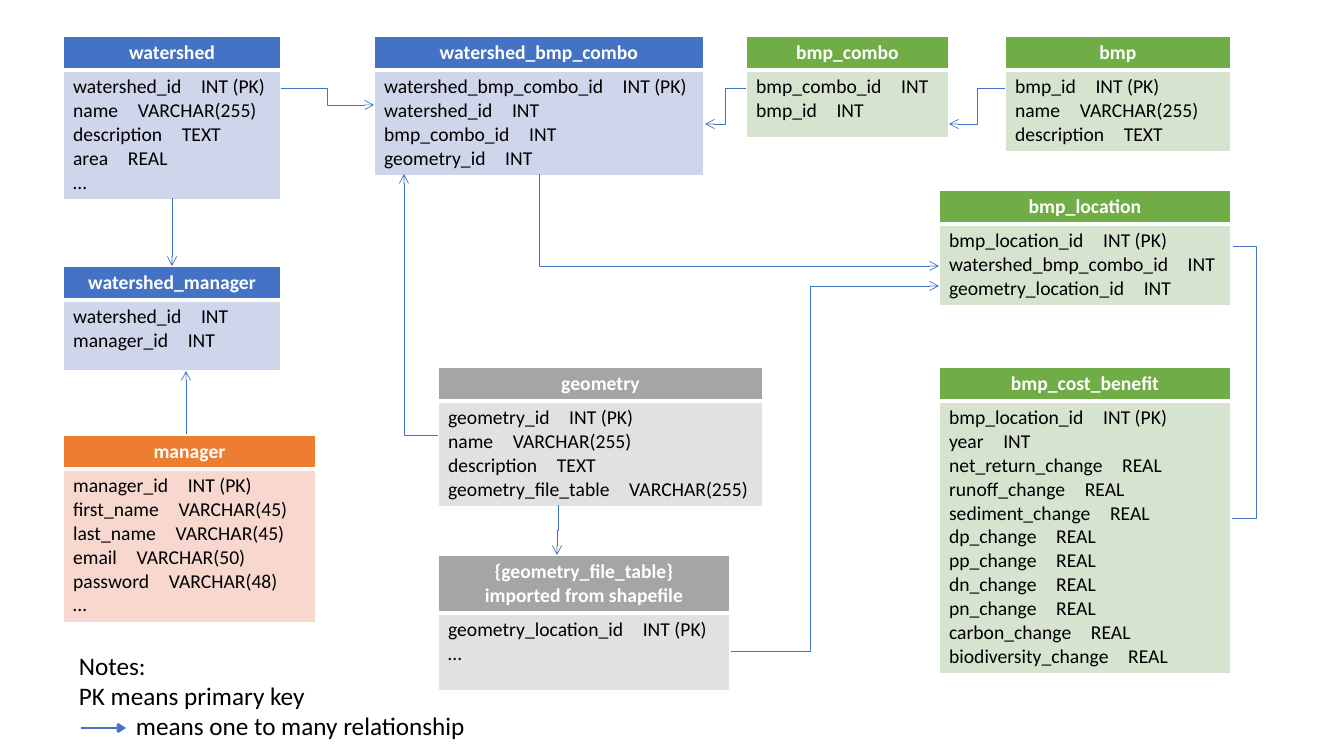
"""Build a one-slide database schema of watershed and BMP tables."""
from lxml.etree import SubElement
from pptx import Presentation
from pptx.dml.color import RGBColor
from pptx.enum.shapes import MSO_CONNECTOR
from pptx.enum.text import PP_ALIGN
from pptx.oxml.ns import qn
from pptx.util import Emu, Pt

PX = 914400 / 100.8
FONT = "Calibri"
WHITE = RGBColor(0xFF, 0xFF, 0xFF)
BLACK = RGBColor(0, 0, 0)
BLUE = RGBColor(0x44, 0x72, 0xC4)
GREEN = RGBColor(0x70, 0xAD, 0x47)
GRAY = RGBColor(0xA5, 0xA5, 0xA5)
ORANGE = RGBColor(0xED, 0x7D, 0x31)
TINTS = {
    BLUE: RGBColor(0xCF, 0xD5, 0xEA),
    GREEN: RGBColor(0xD5, 0xE3, 0xCF),
    GRAY: RGBColor(0xE1, 0xE1, 0xE1),
    ORANGE: RGBColor(0xF8, 0xD7, 0xCE),
}
HEADER_PAD, LINE_H = 10, 24
GAP = "\u2003"

ENTITIES = [
    ("watershed", BLUE, (63, 36, 218, 161),
     ["watershed_id:INT (PK)", "name:VARCHAR(255)", "description:TEXT", "area:REAL", "…"]),
    ("watershed_bmp_combo", BLUE, (374, 36, 330, 138),
     ["watershed_bmp_combo_id:INT (PK)", "watershed_id:INT", "bmp_combo_id:INT",
      "geometry_id:INT"]),
    ("bmp_combo", GREEN, (746, 36, 203, 102), ["bmp_combo_id:INT", "bmp_id:INT"]),
    ("bmp", GREEN, (1005, 36, 226, 114),
     ["bmp_id:INT (PK)", "name:VARCHAR(255)", "description:TEXT"]),
    ("geometry", GRAY, (438, 367, 325, 138),
     ["geometry_id:INT (PK)", "name:VARCHAR(255)", "description:TEXT",
      "geometry_file_table:VARCHAR(255)"]),
    ("bmp_location", GREEN, (939, 190, 292, 114),
     ["bmp_location_id:INT (PK)", "watershed_bmp_combo_id:INT", "geometry_location_id:INT"]),
    ("bmp_cost_benefit", GREEN, (939, 367, 292, 302),
     ["bmp_location_id:INT (PK)", "year:INT", "net_return_change:REAL", "runoff_change:REAL",
      "sediment_change:REAL", "dp_change:REAL", "pp_change:REAL", "dn_change:REAL",
      "pn_change:REAL", "carbon_change:REAL", "biodiversity_change:REAL"]),
    ("{geometry_file_table}\nimported from shapefile", GRAY, (438, 555, 292, 136),
     ["geometry_location_id:INT (PK)", "…"]),
    ("watershed_manager", BLUE, (63, 266, 218, 105), ["watershed_id:INT", "manager_id:INT"]),
    ("manager", ORANGE, (63, 435, 253, 185),
     ["manager_id:INT (PK)", "first_name:VARCHAR(45)", "last_name:VARCHAR(45)",
      "email:VARCHAR(50)", "password:VARCHAR(48)", "…"]),
]
STRAIGHT = [((186, 434), (186, 371), 0.5), ((172, 198), (172, 266), 0.5),
            ((81, 728), (126, 728), 2)]
STEPS = [((281, 88), (374, 105), 327), ((746, 88), (705, 124), 725),
         ((1005, 88), (949, 124), 977), ((731, 651), (939, 286), 810)]
BRACKET = ((1232, 518), (1233, 246), 1257)
CORNER = ((438, 435), (404, 174))
DOWN_STEP = ((558, 505), (557, 555))
DOWN_CORNER = ((539, 174), (939, 266))
NOTES = ["Notes:", "PK means primary key", "means one to many relationship"]
NOTES_BOX = (69, 645, 455, 102)
NOTES_INDENT = 57


def px(*values):
    return [Emu(round(v * PX)) for v in values]


def style_text(tf, size, color, bold=False, align=PP_ALIGN.LEFT):
    for p in tf.paragraphs:
        p.alignment = align
        for r in p.runs:
            r.font.name, r.font.size, r.font.bold = FONT, Pt(size), bold
            r.font.color.rgb = color


def add_borders(cell, **widths):
    tc_pr = cell._tc.get_or_add_tcPr()
    for side in "LRTB":
        ln = SubElement(tc_pr, qn(f"a:ln{side}"), w=str(Pt(widths.get(side, 1))))
        fill = SubElement(ln, qn("a:solidFill"))
        SubElement(fill, qn("a:srgbClr"), val=str(WHITE))


def fill_cell(cell, text, color):
    cell.text = text
    cell.fill.solid()
    cell.fill.fore_color.rgb = color


def add_entity(name, color, box, fields):
    table = s.shapes.add_table(2, 1, *px(*box)).table
    table.first_row = table.horz_banding = False
    header_h = HEADER_PAD + LINE_H * len(name.split("\n"))
    table.rows[0].height, table.rows[1].height = px(header_h, box[3] - header_h)
    header, body = table.cell(0, 0), table.cell(1, 0)
    add_borders(header, B=3)
    add_borders(body, T=3)
    fill_cell(header, name, color)
    fill_cell(body, "\n".join(f.replace(":", GAP) for f in fields), TINTS[color])
    style_text(header.text_frame, 14, WHITE, True, PP_ALIGN.CENTER)
    style_text(body.text_frame, 14, BLACK)


def add_line(start, end, width=0.5, kind=MSO_CONNECTOR.STRAIGHT, arrow=True):
    c = s.shapes.add_connector(kind, *px(*start, *end))
    c.line.color.rgb, c.line.width = BLUE, Pt(width)
    if arrow:
        SubElement(c.line._get_or_add_ln(), qn("a:tailEnd"), type="arrow")
    SubElement(c._element.spPr, qn("a:effectLst"))
    return c


def add_elbow(start, end, turn=None, corner=False, down=False, arrow=True):
    (x1, y1), (x2, y2) = start, end
    if down:
        cx, cy, dx, dy = (x1 + x2) / 2, (y1 + y2) / 2, x2 - x1, y2 - y1
        start, end = (cx - dy / 2, cy + dx / 2), (cx + dy / 2, cy - dx / 2)
    c = add_line(start, end, kind=MSO_CONNECTOR.ELBOW, arrow=arrow)
    sp_pr = c._element.spPr
    geom = sp_pr.find(qn("a:prstGeom"))
    if down:
        sp_pr.find(qn("a:xfrm")).set("rot", str(90 * 60000))
    if corner:
        geom.set("prst", "bentConnector2")
    if turn is not None:
        adj = round((turn - x1) / (x2 - x1) * 100000)
        SubElement(geom.find(qn("a:avLst")), qn("a:gd"), name="adj1", fmla=f"val {adj}")


prs = Presentation()
prs.slide_width, prs.slide_height = px(1344, 756)
s = prs.slides.add_slide(prs.slide_layouts[6])

for entity in ENTITIES:
    add_entity(*entity)
for start, end, width in STRAIGHT:
    add_line(start, end, width)
for start, end, turn in STEPS:
    add_elbow(start, end, turn)
add_elbow(*BRACKET, arrow=False)
add_elbow(*CORNER, corner=True)
add_elbow(*DOWN_STEP, down=True)
add_elbow(*DOWN_CORNER, corner=True, down=True)

tf = s.shapes.add_textbox(*px(*NOTES_BOX)).text_frame
tf.word_wrap = True
tf.text = "\n".join(NOTES)
style_text(tf, 18, BLACK)
p_pr = tf.paragraphs[-1]._p.get_or_add_pPr()
p_pr.set("marL", str(px(NOTES_INDENT)[0]))
p_pr.set("indent", "0")

prs.save("out.pptx")
